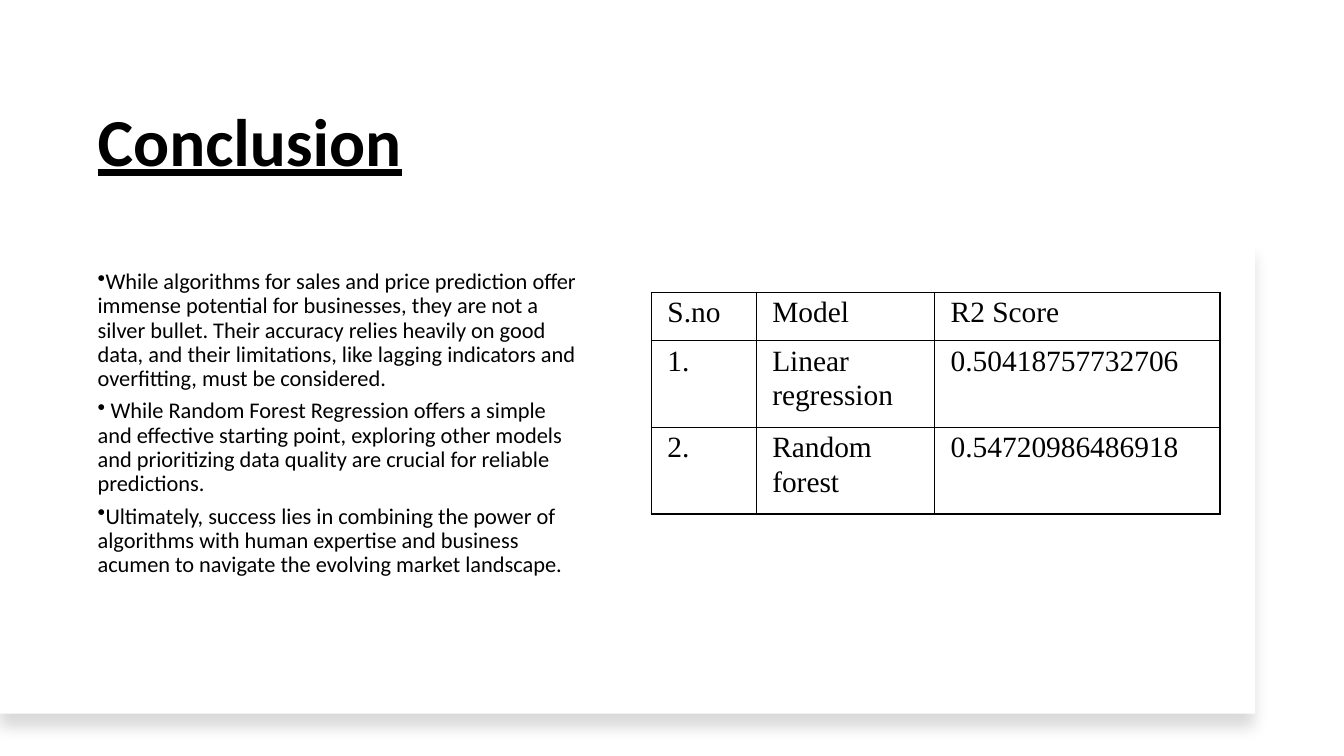
from dataclasses import dataclass

from lxml.etree import SubElement
from pptx import Presentation
from pptx.dml.color import RGBColor
from pptx.enum.shapes import MSO_SHAPE as Shape
from pptx.enum.text import MSO_ANCHOR as Anchor
from pptx.oxml import parse_xml
from pptx.oxml.ns import nsdecls, qn
from pptx.util import Pt

EMU_PER_PX = 9144
BLACK = "000000"
WHITE = "FFFFFF"

POINTS = [
    "While algorithms for sales and price prediction offer immense potential for businesses, "
    "they are not a silver bullet. Their accuracy relies heavily on good data, and their "
    "limitations, like lagging indicators and overfitting, must be considered.",
    " While Random Forest Regression offers a simple and effective starting point, exploring "
    "other models and prioritizing data quality are crucial for reliable predictions.",
    "Ultimately, success lies in combining the power of algorithms with human expertise and "
    "business acumen to navigate the evolving market landscape.",
]
SCORES = [
    ["S.no", "Model", "R2 Score"],
    ["1.", "Linear regression", "0.50418757732706"],
    ["2.", "Random forest", "0.54720986486918"],
]
COLUMN_WIDTHS = [104, 177, 283]
ROW_HEIGHTS = [48, 86, 86]


@dataclass(frozen=True)
class Box:
    left: int
    top: int
    width: int
    height: int

    def emu(self) -> list[int]:
        return [px(n) for n in (self.left, self.top, self.width, self.height)]


@dataclass(frozen=True)
class TextStyle:
    font: str
    size: int
    line_spacing: float
    space_after: int = 0
    bold: bool = False
    underline: bool = False
    bullet: bool = False


TITLE = TextStyle("Calibri", 48, 0.9, bold=True, underline=True)
BODY = TextStyle("Calibri", 16, 0.9, space_after=6, bullet=True)
CELL = TextStyle("Times New Roman", 21, 1.07, space_after=8)


def px(count: int) -> int:
    """Turn px into EMU."""
    return count * EMU_PER_PX


def color(value: str) -> RGBColor:
    """Turn a hex string into a colour."""
    return RGBColor.from_string(value)


def write(frame, lines: list[str], style: TextStyle) -> None:
    """Fill a text frame with one styled paragraph per line."""
    frame.word_wrap = True
    for index, line in enumerate(lines):
        para = frame.add_paragraph() if index else frame.paragraphs[0]
        para.text = line
        para.line_spacing = style.line_spacing
        para.space_after = Pt(style.space_after)
        para.font.name = style.font
        para.font.size = Pt(style.size)
        para.font.bold = style.bold
        para.font.underline = style.underline
        para.font.color.rgb = color(BLACK)
        if style.bullet:
            add_bullet(para)


def add_bullet(para) -> None:
    """Give a paragraph a round bullet with a hanging first line."""
    properties = para._p.get_or_add_pPr()
    properties.set("marL", "0")
    properties.set("indent", str(px(-25)))
    bullet = parse_xml(f'<a:buChar {nsdecls("a")} char="•"/>')
    properties.insert_element_before(bullet, "a:tabLst", "a:defRPr", "a:extLst")


def add_text(page, box: Box, lines: list[str], style: TextStyle, anchor: Anchor) -> None:
    """Place a text box on the page."""
    frame = page.shapes.add_textbox(*box.emu()).text_frame
    frame.vertical_anchor = anchor
    write(frame, lines, style)


def add_panel(page, box: Box) -> None:
    """Place a white panel with a soft shadow below it."""
    panel = page.shapes.add_shape(Shape.RECTANGLE, *box.emu())
    panel.shadow.inherit = False
    panel.fill.solid()
    panel.fill.fore_color.rgb = color(WHITE)
    panel.line.fill.background()
    effects = panel._element.spPr.find(qn("a:effectLst"))
    effects.append(parse_xml(
        f'<a:outerShdw {nsdecls("a")} blurRad="{Pt(11)}" dist="{Pt(10)}" dir="5400000" '
        f'algn="t" rotWithShape="0"><a:srgbClr val="{BLACK}"><a:alpha val="15000"/>'
        '</a:srgbClr></a:outerShdw>'))


def add_borders(cell) -> None:
    """Draw a thin black line on each side of a cell."""
    properties = cell._tc.get_or_add_tcPr()
    for side in ("lnL", "lnR", "lnT", "lnB"):
        line = SubElement(properties, qn(f"a:{side}"), w=str(Pt(1)))
        fill = SubElement(line, qn("a:solidFill"))
        SubElement(fill, qn("a:srgbClr"), val=BLACK)


def add_score_table(page, left: int, top: int) -> None:
    """Place the table of model scores."""
    box = Box(left, top, sum(COLUMN_WIDTHS), sum(ROW_HEIGHTS))
    table = page.shapes.add_table(len(SCORES), len(SCORES[0]), *box.emu()).table
    table.first_row = table.horz_banding = False
    for column, width in zip(table.columns, COLUMN_WIDTHS):
        column.width = px(width)
    for row, height, texts in zip(table.rows, ROW_HEIGHTS, SCORES):
        row.height = px(height)
        for cell, text in zip(row.cells, texts):
            cell.margin_left = cell.margin_right = px(16)
            cell.margin_top, cell.margin_bottom = px(2), 0
            add_borders(cell)
            cell.fill.background()
            write(cell.text_frame, [text], CELL)


def main() -> None:
    """Build the conclusion slide."""
    deck = Presentation()
    deck.slide_width, deck.slide_height = px(1333), px(750)
    page = deck.slides.add_slide(deck.slide_layouts[6])
    add_text(page, Box(87, 42, 1101, 142), ["Conclusion"], TITLE, Anchor.BOTTOM)
    add_panel(page, Box(0, 241, 1245, 467))
    add_text(page, Box(87, 219, 496, 403), POINTS, BODY, Anchor.MIDDLE)
    add_score_table(page, 646, 290)
    deck.save("out.pptx")


if __name__ == "__main__":
    main()
